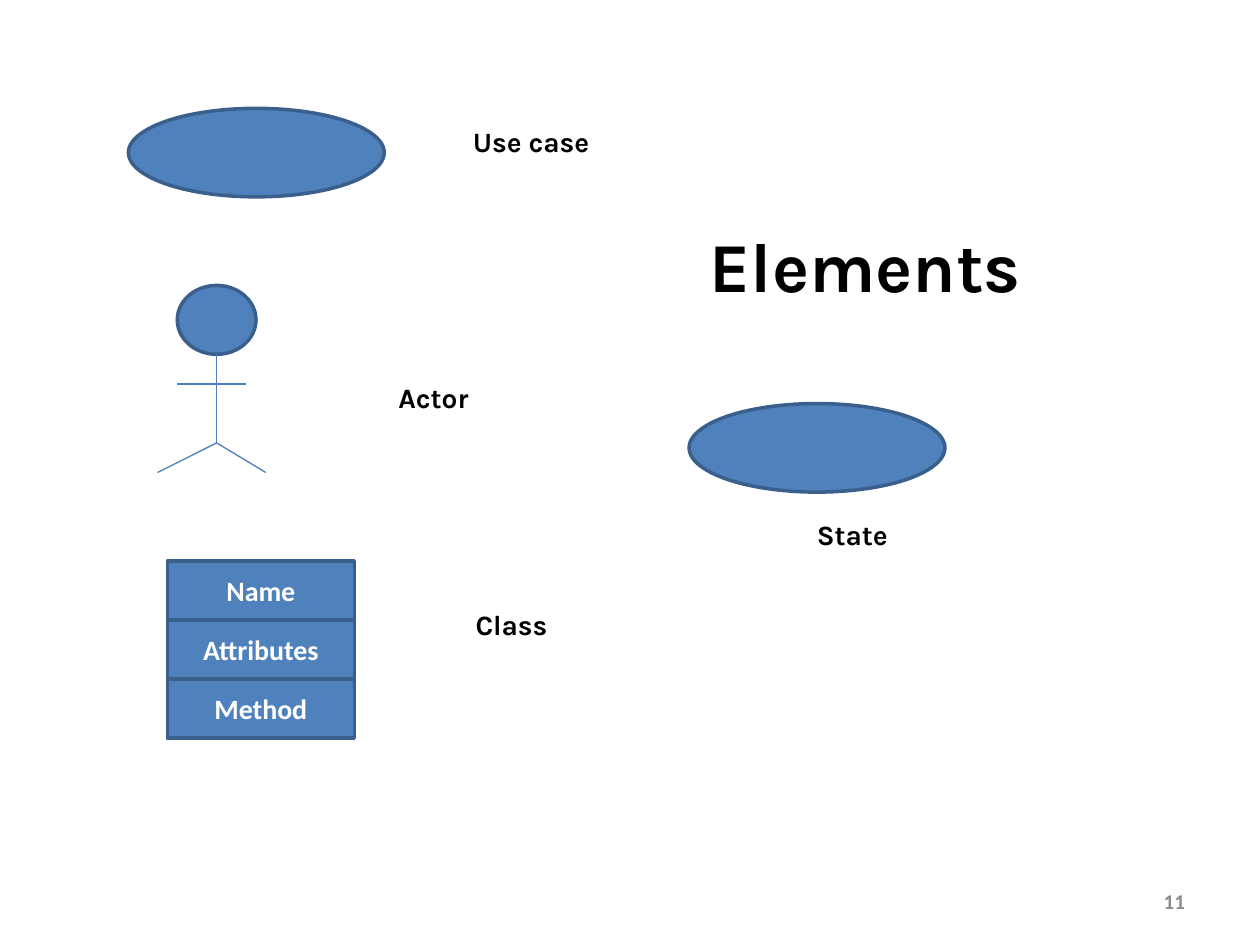
from dataclasses import dataclass

from lxml import etree
from pptx import Presentation
from pptx.dml.color import RGBColor
from pptx.enum.shapes import MSO_CONNECTOR, MSO_SHAPE
from pptx.enum.text import MSO_ANCHOR, MSO_AUTO_SIZE, PP_ALIGN
from pptx.oxml.ns import qn
from pptx.util import Pt

OVAL, RECT = MSO_SHAPE.OVAL, MSO_SHAPE.RECTANGLE
HEAD = MSO_SHAPE.FLOWCHART_CONNECTOR
STRAIGHT = MSO_CONNECTOR.STRAIGHT
TOP, MIDDLE = MSO_ANCHOR.TOP, MSO_ANCHOR.MIDDLE
CENTER, RIGHT = PP_ALIGN.CENTER, PP_ALIGN.RIGHT


@dataclass(frozen=True)
class Theme:
    fill: RGBColor = RGBColor(0x4F, 0x81, 0xBD)
    outline: RGBColor = RGBColor(0x3A, 0x5F, 0x8C)
    limb: RGBColor = RGBColor(0x4B, 0x7E, 0xBC)
    ink: RGBColor = RGBColor(0, 0, 0)
    white: RGBColor = RGBColor(255, 255, 255)
    grey: RGBColor = RGBColor(0x8C, 0x8C, 0x8C)
    heading_font: str = "Karla"
    body_font: str = "Calibri"
    title_size: float = 40
    label_size: float = 16
    number_size: float = 12
    outline_width: float = 2
    limb_width: float = 0.75


@dataclass(frozen=True)
class Box:
    x: float
    y: float
    w: float
    h: float

    def points(self) -> tuple:
        return Pt(self.x), Pt(self.y), Pt(self.w), Pt(self.h)


@dataclass(frozen=True)
class Label:
    text: str
    box: Box


THEME = Theme()

TITLE = Label("Elements", Box(376.5, 123.8, 236, 55.4))
PAGE_NUMBER = Label("11", Box(516.2, 500.4, 168, 28.8))
LABELS = [
    Label("Use case", Box(230.4, 67.7, 146.2, 26.6)),
    Label("Actor", Box(180, 213.8, 135.4, 26.6)),
    Label("Class", Box(224.6, 343.4, 135.4, 26.6)),
    Label("State", Box(405.4, 292.3, 163.4, 26.6)),
]
USE_CASE = Box(73.4, 61.9, 146.2, 50.6)
STATE = Box(393.8, 230.6, 146.2, 50.6)
ACTOR_HEAD = Box(101.3, 163.1, 45, 39.4)
NECK, HIP = (123.8, 202.5), (123.8, 253.1)
LIMBS = [
    (NECK, HIP),
    ((101.3, 219.4), (140.6, 219.4)),
    (HIP, (90, 270)),
    (HIP, (151.9, 270)),
]
CLASS_ROWS = ["Name", "Attributes", "Method"]
CLASS_TOP = Box(95.6, 320.6, 106.9, 33.75)


def write(s, text: str, size: float, color: RGBColor, font: str,
          align=CENTER, anchor=TOP) -> None:
    tf = s.text_frame
    tf.text = text
    tf.word_wrap = True
    tf.vertical_anchor = anchor
    p = tf.paragraphs[0]
    p.alignment = align
    r = p.runs[0]
    r.font.name, r.font.size, r.font.bold = font, Pt(size), True
    r.font.color.rgb = color


def add_filled(slide, kind, box: Box):
    s = slide.shapes.add_shape(kind, *box.points())
    s.shadow.inherit = False
    s.fill.solid()
    s.fill.fore_color.rgb = THEME.fill
    s.line.color.rgb = THEME.outline
    s.line.width = Pt(THEME.outline_width)
    return s


def add_limb(slide, start: tuple, end: tuple) -> None:
    line = slide.shapes.add_connector(STRAIGHT, *map(Pt, start + end))
    line.line.color.rgb = THEME.limb
    line.line.width = Pt(THEME.limb_width)
    etree.SubElement(line._element.spPr, qn("a:effectLst"))


def add_label(slide, label: Label) -> None:
    s = slide.shapes.add_textbox(*label.box.points())
    write(s, label.text, THEME.label_size, THEME.ink, THEME.heading_font)


def main() -> None:
    prs = Presentation()
    prs.slide_width, prs.slide_height = Pt(720), Pt(540)
    slide = prs.slides.add_slide(prs.slide_layouts[5])

    # Title
    title = slide.shapes.title
    title.left, title.top, title.width, title.height = TITLE.box.points()
    write(title, TITLE.text, THEME.title_size, THEME.ink, THEME.heading_font)
    title.text_frame.auto_size = MSO_AUTO_SIZE.NONE

    # Use case and state
    for box in (USE_CASE, STATE):
        add_filled(slide, OVAL, box)

    # Actor
    add_filled(slide, HEAD, ACTOR_HEAD)
    for start, end in LIMBS:
        add_limb(slide, start, end)

    # Class compartments
    for i, text in enumerate(CLASS_ROWS):
        box = Box(CLASS_TOP.x, CLASS_TOP.y + i * CLASS_TOP.h, CLASS_TOP.w, CLASS_TOP.h)
        s = add_filled(slide, RECT, box)
        write(s, text, THEME.label_size, THEME.white, THEME.body_font, anchor=MIDDLE)

    # Element names
    for label in LABELS:
        add_label(slide, label)

    # Page number
    s = slide.shapes.add_textbox(*PAGE_NUMBER.box.points())
    write(s, PAGE_NUMBER.text, THEME.number_size, THEME.grey, THEME.body_font,
          align=RIGHT, anchor=MIDDLE)

    prs.save("out.pptx")


if __name__ == "__main__":
    main()
